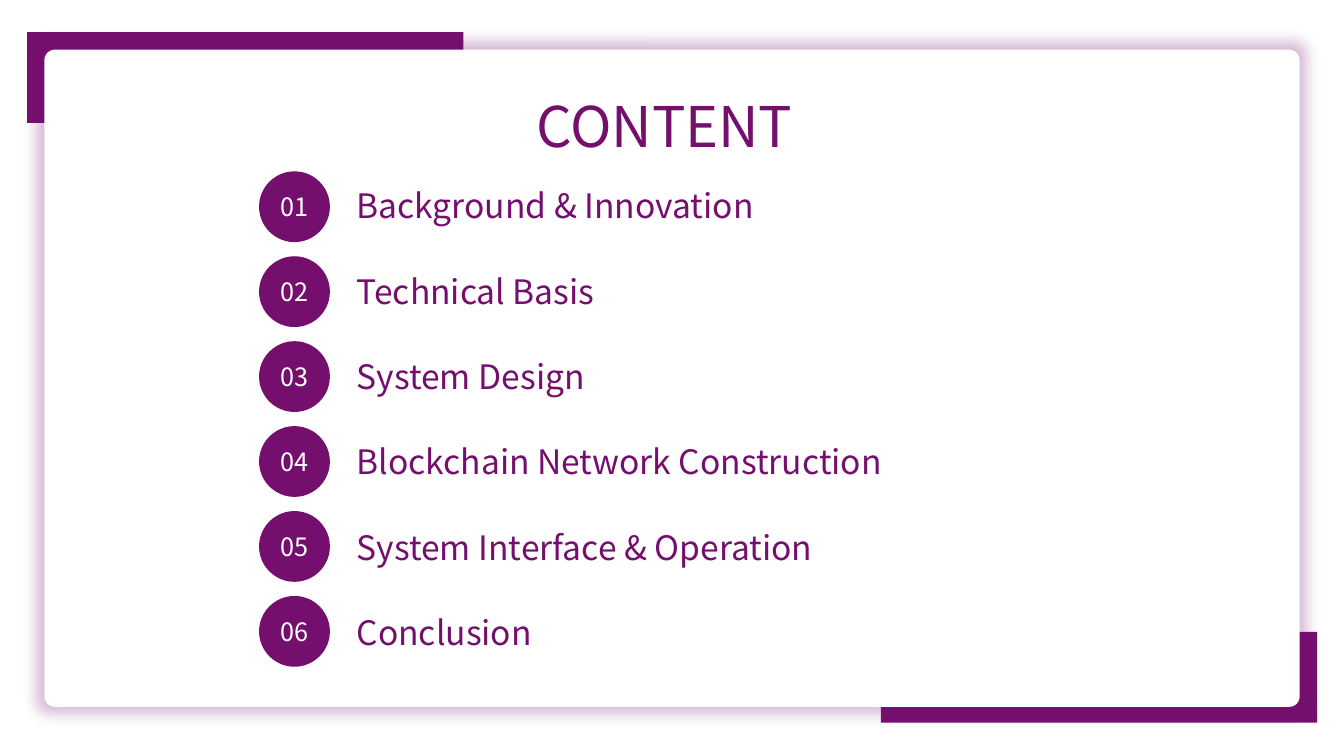
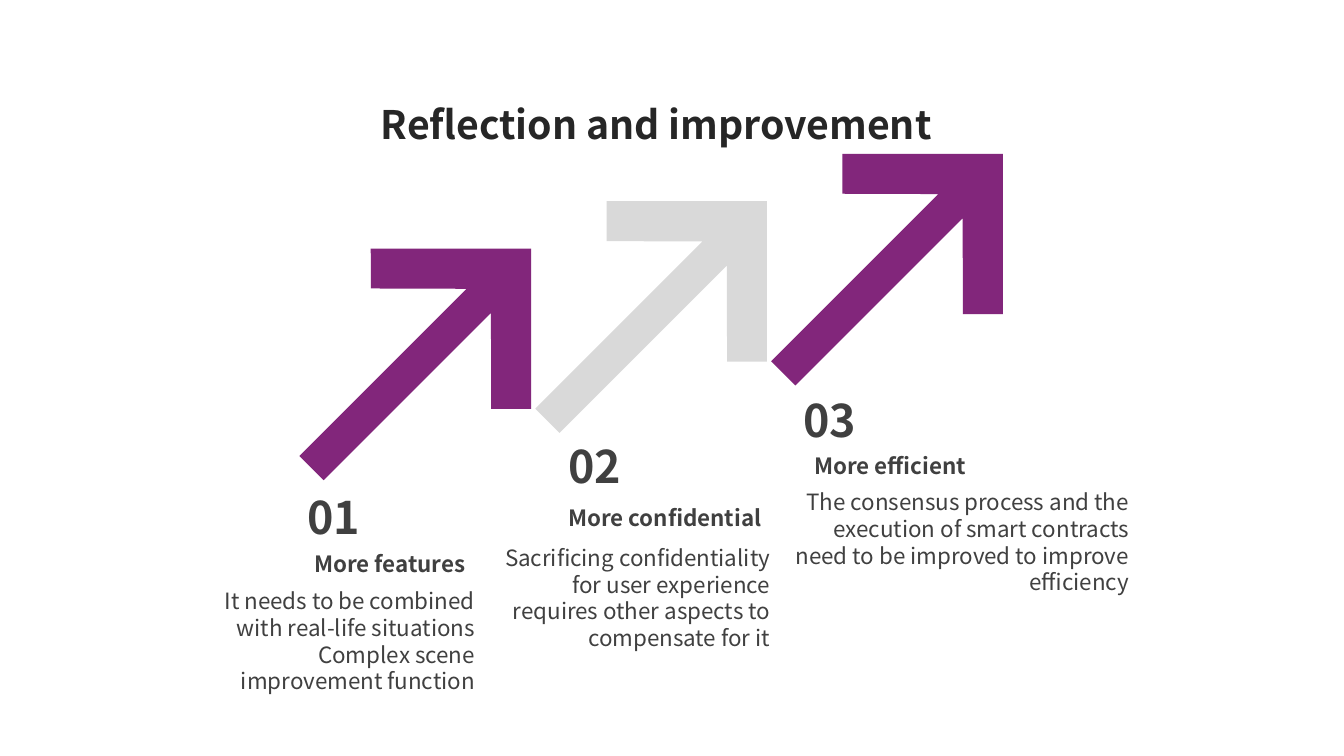
from dataclasses import dataclass

from lxml.etree import SubElement
from pptx import Presentation
from pptx.dml.color import RGBColor
from pptx.enum.shapes import MSO_SHAPE as Preset
from pptx.enum.text import MSO_ANCHOR as Anchor, PP_ALIGN as Align
from pptx.oxml.ns import qn
from pptx.util import Inches, Pt


@dataclass(frozen=True)
class Theme:
    font: str = "Noto Sans CJK SC"
    purple: str = "750F6D"
    grey: str = "D9D9D9"
    white: str = "FFFFFF"
    ink: str = "262626"
    body_ink: str = "404040"
    contents_size: int = 40
    title_size: int = 28
    number_size: int = 32
    item_size: int = 24
    badge_size: int = 18
    body_size: int = 16
    line_pitch: float = 1.19


theme = Theme()
presentation = Presentation()
presentation.slide_width, presentation.slide_height = Inches(13.333), Inches(7.5)
title_only = presentation.slide_layouts[5]

# Grid of 40 columns by 30 rows
COLUMN = presentation.slide_width / 40
ROW = presentation.slide_height / 30


def grid(left, top, width, height):
    return [round(length) for length in
            (left * COLUMN, top * ROW, width * COLUMN, height * ROW)]


def write(shape, text, size=theme.body_size, color=theme.body_ink, bold=False,
          align=Align.LEFT, anchor=Anchor.TOP):
    frame = shape.text_frame
    frame.text = text
    frame.word_wrap = True
    frame.vertical_anchor = anchor
    for paragraph in frame.paragraphs:
        paragraph.alignment = align
        paragraph.line_spacing = Pt(size * theme.line_pitch)
        font = paragraph.runs[0].font
        font.name, font.size, font.bold = theme.font, Pt(size), bold
        font.color.rgb = RGBColor.from_string(color)


def paint(shape, color):
    shape.shadow.inherit = False
    shape.fill.solid()
    shape.fill.fore_color.rgb = RGBColor.from_string(color)
    shape.line.fill.background()
    return shape


# Slide 1: contents
slide = presentation.slides.add_slide(title_only)
shapes = slide.shapes

# Corner blocks behind the white card
for left, top in ((26.22, 25.08), (0.81, 1.28)):
    paint(shapes.add_shape(Preset.RECTANGLE, *grid(left, top, 12.98, 3.6)), theme.purple)

# White card with a purple halo
card = paint(shapes.add_shape(Preset.ROUNDED_RECTANGLE, *grid(1.32, 1.97, 37.36, 26.08)),
             theme.white)
card.adjustments[0] = 0.016
effects = card.element.spPr.find(qn("a:effectLst"))
halo = SubElement(effects, qn("a:outerShdw"), blurRad=str(Inches(0.14)), sx="101000",
                  sy="102000", algn="ctr", rotWithShape="0")
halo_color = SubElement(halo, qn("a:srgbClr"), val=theme.purple)
SubElement(halo_color, qn("a:alpha"), val="30000")

# Title, raised above the card
title = shapes.title
title.left, title.top, title.width, title.height = grid(15.66, 3.44, 8.7, 3.08)
write(title, "CONTENT", size=theme.contents_size, color=theme.purple)
card.element.addnext(title.element)

# Numbered items
items = ("Background & Innovation", "Technical Basis", "System Design",
         "Blockchain Network Construction", "System Interface & Operation", "Conclusion")
for index, item in enumerate(items):
    badge = paint(shapes.add_shape(Preset.OVAL, *grid(7.71, 6.8 + 3.37 * index, 2.11, 2.81)),
                  theme.purple)
    write(badge, f"{index + 1:02}", size=theme.badge_size, color=theme.white,
          align=Align.CENTER, anchor=Anchor.MIDDLE)
    label = shapes.add_textbox(*grid(10.32, 7.16 + 3.39 * index, 24.93, 2))
    write(label, item, size=theme.item_size, color=theme.purple)

# Slide 2: rising arrows
slide = presentation.slides.add_slide(title_only)
shapes = slide.shapes
title = shapes.title
title.left, title.top, title.width, title.height = grid(9.54, 3.8, 19.98, 2.28)
write(title, "Reflection and improvement", size=theme.title_size, color=theme.ink,
      bold=True, align=Align.CENTER)

# Arrow pointing left, in rows from its tip: lower half, then its mirror
lower_half = [(4.5, 4.5), (5.62, 3.38), (2.94, 0.68), (12.32, 0.68)]
outline = [(0, 0), *lower_half, *((x, -y) for x, y in reversed(lower_half))]

# Each step: arrow colour, number place, heading and place, body and place with width
steps = (
    (theme.purple, (8.85, 19.24), "More features", (9.06, 21.64),
     "It needs to be combined with real-life situations\nComplex scene improvement function",
     (5.7, 23.12, 8.73)),
    (theme.grey, (16.62, 17.24), "More confidential", (16.62, 19.8),
     "Sacrificing confidentiality for user experience requires other aspects to "
     "compensate for it", (14.43, 21.4, 8.79)),
    (theme.purple, (23.61, 15.4), "More efficient", (23.94, 17.76),
     "The consensus process and the execution of smart contracts need to be improved "
     "to improve efficiency", (23.22, 19.2, 10.68)),
)
for index, (color, number_at, heading, heading_at, body, body_at) in enumerate(steps):
    tip_x, tip_y = (7.92 + 7.02 * index) * COLUMN, (14.22 - 1.88 * index) * ROW
    points = [(tip_x + x * ROW, tip_y + y * ROW) for x, y in outline]
    builder = shapes.build_freeform(*points[0])
    builder.add_line_segments(points[1:], close=True)
    arrow = paint(builder.convert_to_shape(), color)
    arrow.rotation = 135
    if color == theme.purple:
        fill_color = arrow.element.spPr.find(qn("a:solidFill"))[0]
        SubElement(fill_color, qn("a:alpha"), val="90000")

    write(shapes.add_textbox(*grid(*number_at, 2.43, 2.56)), f"{index + 1:02}",
          size=theme.number_size, bold=True)
    write(shapes.add_textbox(*grid(*heading_at, 7.29, 1.48)), heading, bold=True)
    write(shapes.add_textbox(*grid(*body_at, 4.72)), body, align=Align.RIGHT)

presentation.save("out.pptx")
